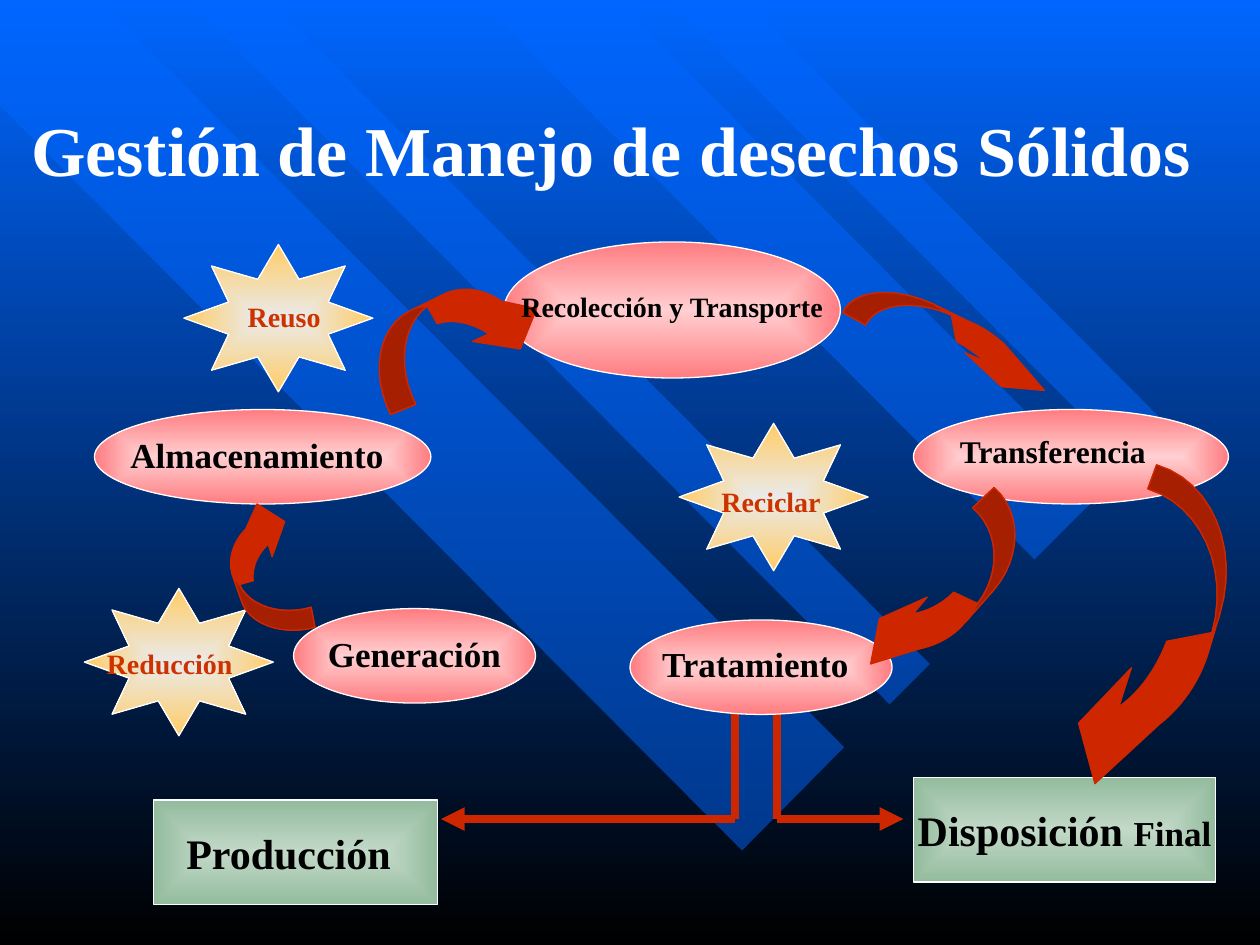
from lxml import etree
from pptx import Presentation
from pptx.dml.color import RGBColor
from pptx.enum.shapes import MSO_CONNECTOR, MSO_SHAPE
from pptx.enum.text import MSO_ANCHOR, MSO_AUTO_SIZE, PP_ALIGN
from pptx.oxml.ns import qn
from pptx.util import Inches, Pt

OVAL, RECT, STAR = MSO_SHAPE.OVAL, MSO_SHAPE.RECTANGLE, MSO_SHAPE.STAR_8_POINT
STRAIGHT = MSO_CONNECTOR.STRAIGHT
LEFT, CENTER = PP_ALIGN.LEFT, PP_ALIGN.CENTER
TOP, MIDDLE, BOTTOM = MSO_ANCHOR.TOP, MSO_ANCHOR.MIDDLE, MSO_ANCHOR.BOTTOM
NO_AUTOFIT = MSO_AUTO_SIZE.NONE

FONT = "Times New Roman"
COLORS = {
    "blue": "0066FF", "black": "000000", "white": "FFFFFF",
    "red": "CE2700", "dark red": "A51F00", "label red": "CC3300",
    "silver": "EAEAEA", "gold": "FFCC66",
    "pale pink": "FFCFD1", "pink": "FF7C80",
    "pale green": "C2D9C8", "green": "93BB9D",
}
GRADIENTS = {
    STAR: ("silver", "gold"),
    OVAL: ("pale pink", "pink"),
    RECT: ("pale green", "green"),
}
BANDS = [
    [(6.7, 5.93), (0.79, 0), (0, 0), (0, 0.84), (5.89, 6.75)],
    [(2.14, 0), (7.38, 5.27), (7.06, 5.59), (1.49, 0)],
    [(4.89, 0), (8.76, 3.89), (8.21, 4.44), (3.8, 0)],
    [(5.3, 0), (8.97, 3.68), (9.27, 3.38), (5.91, 0)],
]
NODES = [
    (STAR, 5.39, 3.36, 1.5, 1.17),
    (STAR, 1.46, 1.94, 1.5, 1.17),
    (STAR, 0.67, 4.67, 1.5, 1.17),
    (OVAL, 4, 1.92, 2.67, 1.08),
    (OVAL, 2.33, 4.83, 1.92, 0.75),
    (OVAL, 7.25, 3.25, 2.5, 0.75),
    (OVAL, 5, 4.92, 2.08, 0.75),
    (OVAL, 0.75, 3.25, 2.67, 0.75),
    (RECT, 1.22, 6.35, 2.25, 0.83),
]
CENTERED_LABELS = [
    ("Recolección y Transporte", 4.5, 2.11, 1.67, 0.64, 16),
    ("Tratamiento", 5.08, 5.08, 1.83, 0.37, 20),
    ("Generación", 2.58, 5, 1.42, 0.37, 20),
    ("Producción", 1.33, 6.58, 1.92, 0.37, 24),
    ("Almacenamiento", 1.08, 3.42, 1.92, 0.37, 20),
]
WRAPPED_LABELS = [
    ("Transferencia", 7.52, 3.38, 1.9, 0.4, 18, "black", LEFT),
    ("Reuso", 1.67, 2.33, 1.17, 0.37, 16, "label red", CENTER),
    ("Reciclar", 5.58, 3.8, 1.08, 0.37, 16, "label red", CENTER),
    ("Reducción", 0.75, 5.08, 1.33, 0.37, 16, "label red", LEFT),
]
# Each arrow: outline steps (point or cubic curve), steps shared with its tail, tail fold.
ARROWS = [
    ([(6.69, 2.48), (6.77, 2.3, 7.09, 2.27, 7.4, 2.41), (7.71, 2.56),
      (7.81, 2.6, 7.9, 2.67, 7.97, 2.73), (8.29, 3.1), (7.95, 3.07),
      (7.66, 2.8), (7.82, 2.87), (7.75, 2.81, 7.68, 2.76, 7.59, 2.71),
      (7.55, 2.5), (7.25, 2.37, 6.95, 2.41, 6.87, 2.58)],
     2, (7.41, 2.41, 7.42, 2.42, 7.43, 2.43)),
    ([(3.1, 3.29), (2.94, 2.96, 3, 2.6, 3.25, 2.47), (3.51, 2.34),
      (3.65, 2.27, 3.82, 2.28, 3.98, 2.39), (4.26, 2.45), (4.13, 2.77),
      (3.75, 2.71), (3.88, 2.65), (3.74, 2.56, 3.59, 2.53, 3.47, 2.57),
      (3.39, 2.43), (3.19, 2.58, 3.15, 2.92, 3.3, 3.21)],
     2, (3.27, 2.46, 3.29, 2.45, 3.32, 2.44)),
    ([(2.5, 4.98), (2.23, 5.05, 1.96, 4.95, 1.91, 4.75), (1.84, 4.55),
      (1.81, 4.43, 1.85, 4.3, 1.95, 4.2), (2.04, 4), (2.26, 4.14),
      (2.16, 4.42), (2.13, 4.32), (2.04, 4.4, 2, 4.51, 2.01, 4.61),
      (1.9, 4.64), (1.98, 4.81, 2.23, 4.89, 2.47, 4.82)],
     3, (1.85, 4.56, 1.86, 4.58, 1.86, 4.59)),
    ([(9.18, 3.69), (9.62, 3.82, 9.84, 4.35, 9.68, 4.88), (9.59, 5.18),
      (9.52, 5.41, 9.38, 5.61, 9.2, 5.75), (8.69, 6.22), (8.56, 5.74),
      (8.98, 5.3), (8.88, 5.61), (9.05, 5.49, 9.18, 5.3, 9.26, 5.09),
      (9.62, 5.02), (9.76, 4.51, 9.53, 4.01, 9.11, 3.88)],
     2, (9.68, 4.89, 9.67, 4.91, 9.67, 4.92)),
    ([(7.89, 3.87), (8.11, 4.06, 8.11, 4.42, 7.89, 4.68), (7.66, 4.94),
      (7.57, 5.05, 7.44, 5.12, 7.3, 5.15), (6.91, 5.27), (6.98, 4.91),
      (7.36, 4.74), (7.25, 4.87), (7.37, 4.85, 7.48, 4.79, 7.57, 4.7),
      (7.76, 4.79), (7.95, 4.54, 7.93, 4.21, 7.72, 4.03)],
     3, (7.68, 4.92, 7.69, 4.91, 7.7, 4.89)),
]


def color(name):
    """Return the named colour."""
    return RGBColor.from_string(COLORS[name])


def set_gradient(fill, names):
    """Give a fill a two-stop gradient."""
    fill.gradient()
    for stop, name in zip(fill.gradient_stops, names):
        stop.color.rgb = color(name)


def trace(steps, count=12):
    """Turn points and cubic curves into a list of points."""
    points = []
    for step in steps:
        if len(step) == 2:
            points.append(step)
            continue
        start, first, second, end = points[-1], step[:2], step[2:4], step[4:]
        for t in (i / count for i in range(1, count + 1)):
            weights = ((1 - t) ** 3, 3 * t * (1 - t) ** 2, 3 * t * t * (1 - t), t ** 3)
            knots = (start, first, second, end)
            points.append(tuple(sum(w * k[axis] for w, k in zip(weights, knots))
                                for axis in (0, 1)))
    return points


def add_outline(page, points, fill, line=None):
    """Add a closed freeform."""
    spots = [(Inches(x), Inches(y)) for x, y in points]
    builder = page.shapes.build_freeform(*spots[0], scale=1.0)
    builder.add_line_segments(spots[1:], close=True)
    shape = builder.convert_to_shape()
    shape.shadow.inherit = False
    shape.fill.solid()
    shape.fill.fore_color.rgb = color(fill)
    if line:
        shape.line.color.rgb = color(line)
        shape.line.width = Pt(0.75)
    else:
        shape.line.fill.background()
    return shape


def add_band(page, points):
    """Add a half-transparent diagonal band."""
    band = add_outline(page, points, "blue")
    tint = band._element.spPr.find(qn("a:solidFill"))[0]
    etree.SubElement(tint, qn("a:alpha"), val="50000")


def add_curved_arrow(page, steps, shared, fold):
    """Add a curved arrow with a darker tail."""
    add_outline(page, trace(steps), "red", "red")
    add_outline(page, trace(steps[:shared] + [fold] + steps[-2:]), "dark red", "red")


def add_node(page, kind, *place):
    """Add a preset shape shaded from its centre."""
    shape = page.shapes.add_shape(kind, *map(Inches, place))
    shape.shadow.inherit = False
    if kind == STAR:
        shape.adjustments[0] = 0.285
    set_gradient(shape.fill, GRADIENTS[kind])
    gradient = shape._element.spPr.find(qn("a:gradFill"))
    gradient.remove(gradient.find(qn("a:lin")))
    shade = etree.SubElement(gradient, qn("a:path"), path="rect")
    etree.SubElement(shade, qn("a:fillToRect"), l="50000", t="50000", r="50000", b="50000")
    shape.line.color.rgb = color("white")
    shape.line.width = Pt(0.75)
    return shape


def add_line(page, *ends, arrow=False):
    """Add a thick straight line, with an arrowhead if asked."""
    line = page.shapes.add_connector(STRAIGHT, *map(Inches, ends))
    line.line.color.rgb = color("red")
    line.line.width = Pt(4.5)
    if arrow:
        etree.SubElement(line.line._get_or_add_ln(), qn("a:tailEnd"), type="triangle")
    etree.SubElement(line._element.spPr, qn("a:effectLst"))


def write(box, text, size, ink="black", align=CENTER, anchor=MIDDLE, wrap=False):
    """Write one bold paragraph into a shape."""
    frame = box.text_frame
    frame.auto_size = NO_AUTOFIT
    frame.word_wrap = wrap
    frame.vertical_anchor = anchor
    para = frame.paragraphs[0]
    para.alignment = align
    para.add_run().text = text
    para.font.name, para.font.size, para.font.bold = FONT, Pt(size), True
    para.font.color.rgb = color(ink)
    return para


def main():
    """Build the waste management slide."""
    deck = Presentation()
    deck.slide_width, deck.slide_height = Inches(10), Inches(7.5)
    page = deck.slides.add_slide(deck.slide_layouts[5])
    set_gradient(page.background.fill, ("blue", "black"))
    page.background.fill.gradient_angle = 270
    for points in BANDS:
        add_band(page, points)

    title = page.shapes.title
    title.left, title.top, title.width, title.height = map(Inches, (0, 0.31, 9.7, 1.25))
    write(title, "Gestión de Manejo de desechos Sólidos", 40, "white", anchor=BOTTOM, wrap=True)
    page.shapes._spTree.append(title._element)

    for x, end in ((5.83, 3.5), (6.17, 7.17)):
        add_line(page, x, 5.58, x, 6.5)
        add_line(page, x, 6.5, end, 6.5, arrow=True)
    for node in NODES:
        add_node(page, *node)
    disposal = add_node(page, RECT, 7.25, 6.17, 2.4, 0.83)
    span = write(disposal, "Disposición ", 24).add_run()
    span.text = "Final"
    span.font.size = Pt(20)
    for arrow in ARROWS:
        add_curved_arrow(page, *arrow)

    for text, *place, size in CENTERED_LABELS:
        write(page.shapes.add_textbox(*map(Inches, place)), text, size)
    for text, *place, size, ink, align in WRAPPED_LABELS:
        box = page.shapes.add_textbox(*map(Inches, place))
        write(box, text, size, ink, align, TOP, wrap=True)
    deck.save("out.pptx")


if __name__ == "__main__":
    main()
